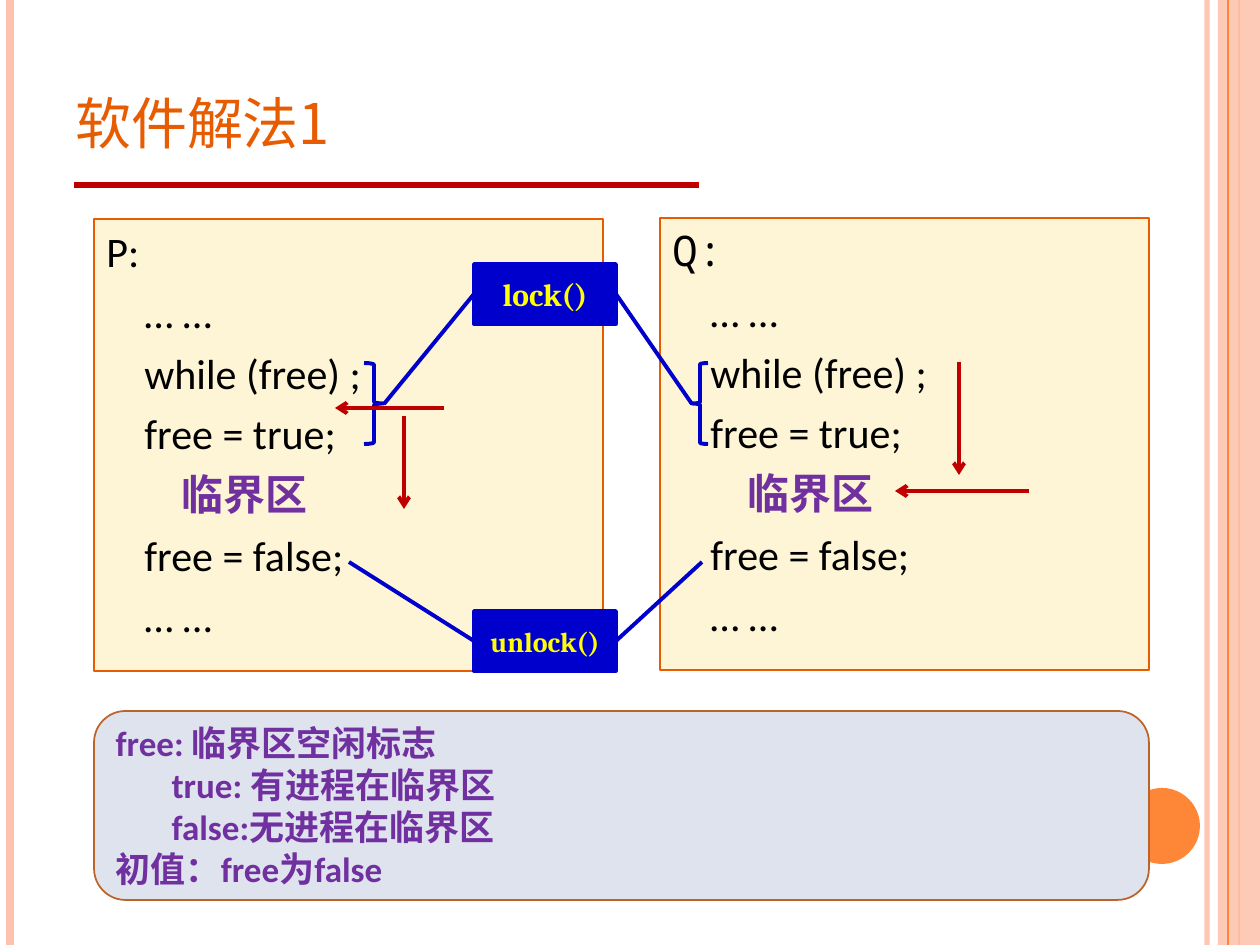
from pptx import Presentation
from pptx.dml.color import RGBColor
from pptx.enum.shapes import MSO_CONNECTOR, MSO_SHAPE
from pptx.enum.text import MSO_ANCHOR, PP_ALIGN
from pptx.oxml.ns import qn
from pptx.util import Pt
from lxml.etree import SubElement

SCALE = 914400 / 126
CJK = "Noto Sans CJK SC"
ORANGE, PEACH, ACCENT = "E75C01", "FEC3AE", "FE8637"
RED, BLUE, PURPLE = "C00000", "0000CC", "7030A0"
CREAM, BLACK, YELLOW = "FDF5D5", "000000", "FFFF00"


def px(length):
    return round(length * SCALE)


def color(value):
    return RGBColor.from_string(value)


class Deck:
    """Holds the style and the current slide, and draws each kind of element."""

    def __init__(self):
        self.presentation = Presentation()
        self.presentation.slide_width = px(1260)
        self.presentation.slide_height = px(945)
        self.slide = self.presentation.slides.add_slide(self.presentation.slide_layouts[6])

    def set_alpha(self, element, percent):
        SubElement(next(element.iter(qn("a:srgbClr"))), qn("a:alpha"), val=str(percent * 1000))

    def shape(self, kind, box, fill=None, line=None, width=1, alpha=None):
        shape = self.slide.shapes.add_shape(kind, *map(px, box))
        shape.shadow.inherit = False
        if fill:
            shape.fill.solid()
            shape.fill.fore_color.rgb = color(fill)
            if alpha:
                self.set_alpha(shape.element, alpha)
        else:
            shape.fill.background()
        if line:
            shape.line.color.rgb = color(line)
            shape.line.width = Pt(width)
        else:
            shape.line.fill.background()
        return shape

    def line(self, start, end, stroke, width, alpha=None, arrow=False, joined=None):
        line = self.slide.shapes.add_connector(
            MSO_CONNECTOR.STRAIGHT, *map(px, start + end))
        line.line.color.rgb = color(stroke)
        line.line.width = Pt(width)
        properties = line.element.spPr
        if alpha:
            self.set_alpha(properties, alpha)
        if arrow:
            SubElement(properties.find(qn("a:ln")), qn("a:tailEnd"), type="arrow")
        SubElement(properties, qn("a:effectLst"))
        if joined:
            line.begin_connect(*joined)

    def textbox(self, box):
        return self.slide.shapes.add_textbox(*map(px, box))

    def add_text(self, shape, rows, size, font, anchor=MSO_ANCHOR.MIDDLE,
                 align=PP_ALIGN.LEFT, gap=0, bold=False, caps=False):
        frame = shape.text_frame
        frame.word_wrap = True
        frame.vertical_anchor = anchor
        for index, (text, indent, ink, *special) in enumerate(rows):
            paragraph = frame.add_paragraph() if index else frame.paragraphs[0]
            paragraph.alignment = align
            if index:
                paragraph.space_before = Pt(gap)
            if indent:
                paragraph._p.get_or_add_pPr().set("marL", str(px(indent)))
            run = paragraph.add_run()
            run.text = text
            run.font.size = Pt(size)
            run.font.bold = bold or ink == PURPLE
            run.font.color.rgb = color(ink)
            run.font.name = special[0] if special else font
            properties = run._r.get_or_add_rPr()
            SubElement(properties, qn("a:ea"), typeface=CJK)
            if caps:
                properties.set("cap", "small")

    def process(self, label, label_font, box):
        panel = self.shape(MSO_SHAPE.RECTANGLE, box, CREAM, ORANGE, 1.5)
        rows = [
            (label, 0, BLACK, label_font),
            ("… …", 38, BLACK),
            ("while (free) ;", 38, BLACK),
            ("free = true;", 38, BLACK),
            ("临界区", 75, PURPLE),
            ("free = false;", 38, BLACK),
            ("… …", 38, BLACK),
        ]
        self.add_text(panel, rows, 24, "Calibri", MSO_ANCHOR.TOP, gap=6)

    def operation(self, name, top, size, left_target, right_target):
        box = self.shape(MSO_SHAPE.RECTANGLE, (474, top, 142, 60), BLUE, BLUE, 2)
        self.add_text(box, [(name, 0, YELLOW)], size, "Cambria",
                      align=PP_ALIGN.CENTER, bold=True)
        for x, site, target in ((474, 1, left_target), (616, 3, right_target)):
            self.line((x, top + 30), target, BLUE, 2.25, joined=(box, site))


def main():
    deck = Deck()

    for x, stroke, width, alpha in ((1207, PEACH, 3, 93), (10, PEACH, 4.5, None),
                                    (1239, ACCENT, 1.5, None)):
        deck.line((x, 0), (x, 945), stroke, width, alpha)
    deck.shape(MSO_SHAPE.RECTANGLE, (1218, 0, 42, 945), PEACH, alpha=87)
    deck.line((1228, 0), (1228, 945), ACCENT, 0.75)
    deck.shape(MSO_SHAPE.OVAL, (1124, 788, 76, 76), ACCENT)

    deck.line((74, 185), (699, 185), RED, 3)
    title = deck.textbox((63, 38, 1029, 127))
    deck.add_text(title, [("软件解法1", 0, ORANGE)], 40, CJK, MSO_ANCHOR.BOTTOM, caps=True)

    deck.process("P:", "Calibri", (94, 219, 509, 452))
    deck.process("Q:", "Noto Sans Mono", (660, 218, 489, 452))

    legend = deck.shape(MSO_SHAPE.ROUNDED_RECTANGLE, (94, 711, 1055, 189), "DFE3EE", "BC6329")
    deck.add_text(legend, [
        ("free: 临界区空闲标志", 0, PURPLE),
        ("true: 有进程在临界区", 56, PURPLE),
        ("false:无进程在临界区", 56, PURPLE),
        ("初值：free为false", 0, PURPLE),
    ], 20, "Calibri")

    deck.operation("lock()", 264, 18, (384, 404), (692, 404))
    deck.operation("unlock()", 611, 16, (349, 562), (702, 562))
    deck.shape(MSO_SHAPE.LEFT_BRACE, (692, 363, 16, 81), line=BLUE, width=2.25)
    deck.shape(MSO_SHAPE.RIGHT_BRACE, (364, 363, 20, 81), line=BLUE, width=2.25)

    for start, end in (((444, 408), (335, 408)), ((959, 362), (959, 475)),
                       ((1029, 491), (895, 491)), ((404, 416), (404, 509))):
        deck.line(start, end, RED, 2.25, arrow=True)

    deck.presentation.save("out.pptx")


if __name__ == "__main__":
    main()
